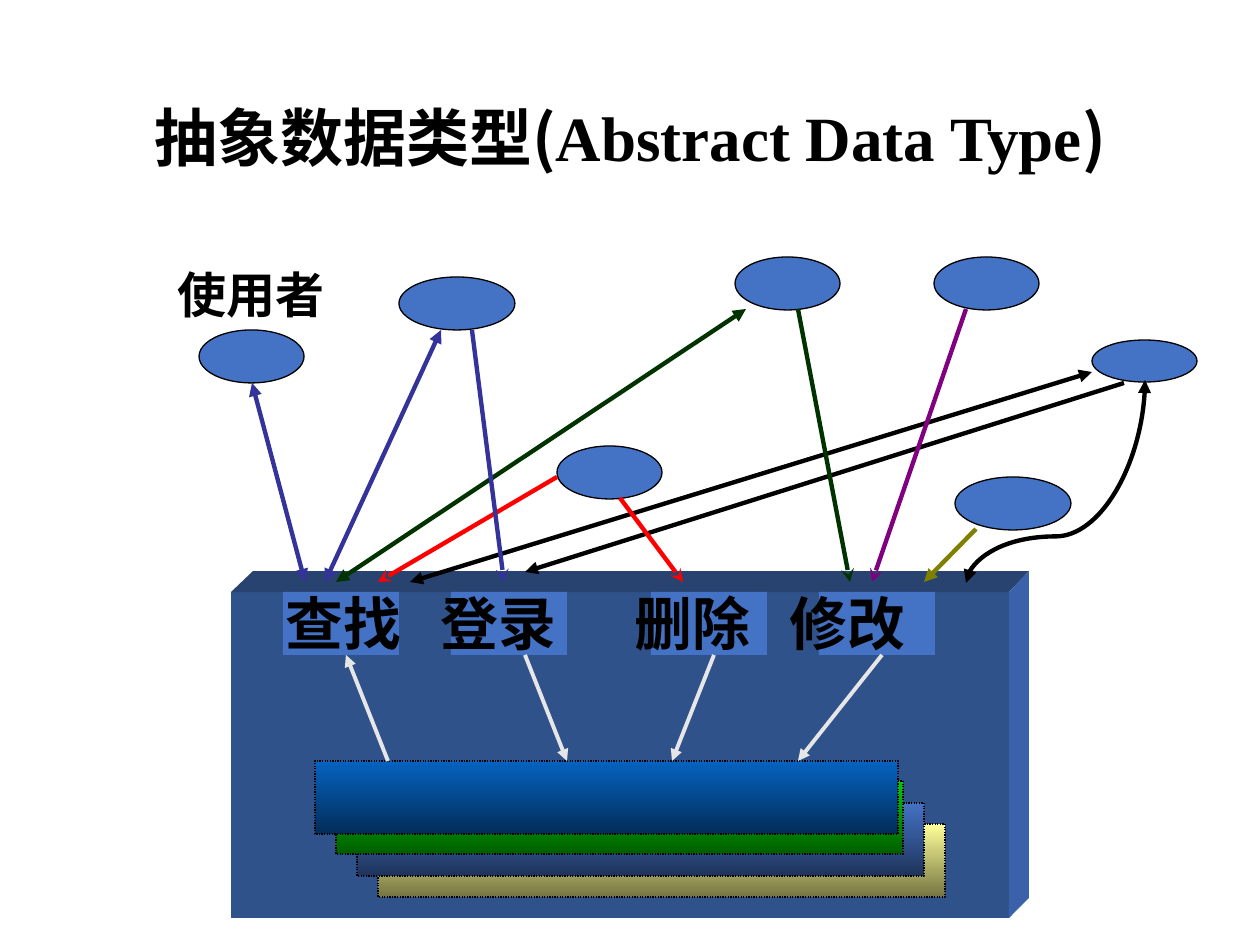
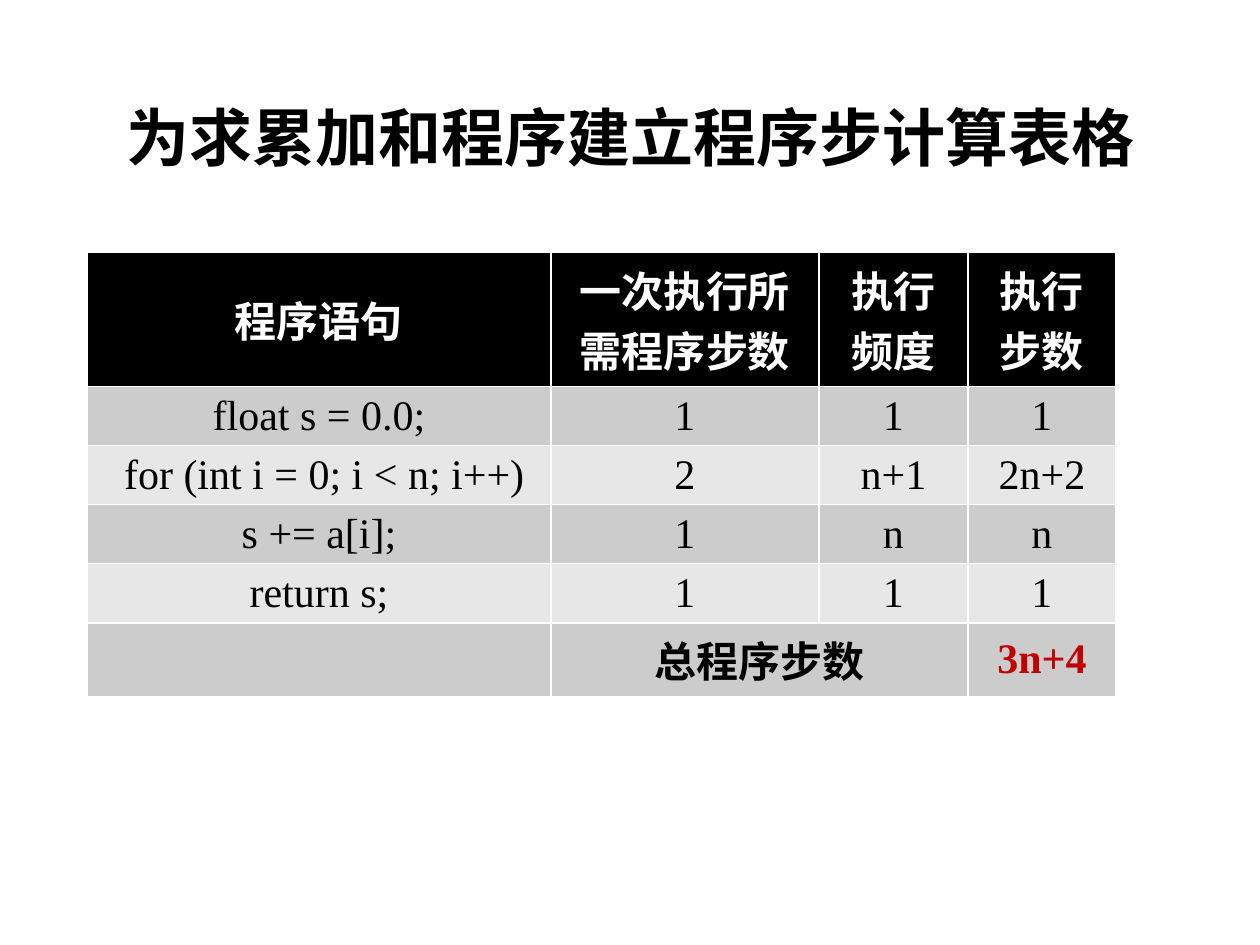
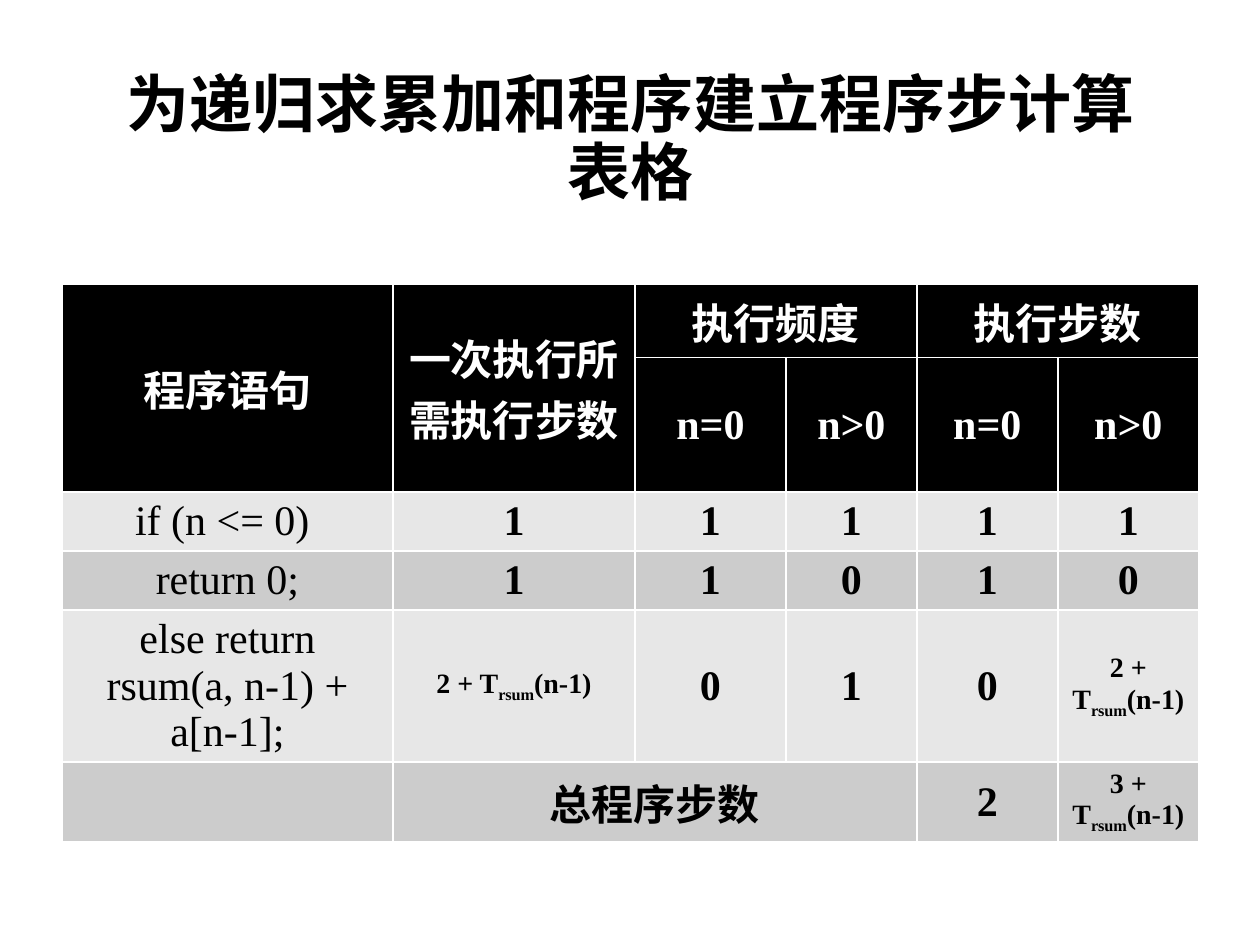
"""Build three slides on abstract data types and program step counts."""
from dataclasses import dataclass
from typing import NamedTuple

import lxml.etree
import pptx
import pptx.dml.color
import pptx.enum.dml
import pptx.enum.shapes
import pptx.enum.text
import pptx.oxml.ns
import pptx.util

RGBColor = pptx.dml.color.RGBColor
Shape = pptx.enum.shapes.MSO_SHAPE
Align = pptx.enum.text.PP_ALIGN
Anchor = pptx.enum.text.MSO_ANCHOR
qn = pptx.oxml.ns.qn

EMU_PER_PX = 914400 / 126

BLACK = RGBColor(0x00, 0x00, 0x00)
WHITE = RGBColor(0xFF, 0xFF, 0xFF)
BLUE = RGBColor(0x44, 0x72, 0xC4)
CUBE_FRONT = RGBColor(0x30, 0x52, 0x8A)
CUBE_TOP = RGBColor(0x29, 0x43, 0x70)
CUBE_SIDE = RGBColor(0x3A, 0x62, 0xAA)
INDIGO = RGBColor(0x33, 0x33, 0x99)
DARK_GREEN = RGBColor(0x00, 0x33, 0x00)
RED = RGBColor(0xFF, 0x00, 0x00)
PURPLE = RGBColor(0x80, 0x00, 0x80)
OLIVE = RGBColor(0x80, 0x80, 0x00)
PALE = RGBColor(0xE7, 0xE6, 0xE6)
DARK_BAND = RGBColor(0xCC, 0xCC, 0xCC)
LIGHT_BAND = RGBColor(0xE7, 0xE7, 0xE7)
TOTAL_RED = RGBColor(0xC0, 0x00, 0x00)

CJK_FONT = "Noto Sans CJK SC"
LATIN_FONT = "Times New Roman"


class Box(NamedTuple):
    left: int
    top: int
    width: int
    height: int


class Arrow(NamedTuple):
    start: tuple[int, int]
    end: tuple[int, int]
    color: RGBColor
    tail: str = "triangle"
    head: str = ""
    width: float = 2.5


class Bar(NamedTuple):
    box: Box
    top_color: RGBColor
    bottom_color: RGBColor


class Merge(NamedTuple):
    first: tuple[int, int]
    last: tuple[int, int]


@dataclass
class StepTable:
    left: int
    top: int
    columns: list[int]
    row_heights: list[int]
    rows: list[list[str]]
    merges: list[Merge]
    header_rows: int = 1
    header_font: str = CJK_FONT
    bold_values: bool = False
    total: str = ""


TITLE_BOX = Box(87, 50, 1086, 183)
USERS = [
    Box(199, 330, 105, 53), Box(399, 277, 116, 53), Box(557, 446, 105, 53),
    Box(735, 257, 105, 53), Box(955, 477, 116, 53), Box(934, 257, 105, 53),
    Box(1092, 340, 105, 42),
]
OPERATION_LEFTS = [283, 451, 651, 819]
OPERATIONS = ["查找", "登录", "删除", "修改"]
OPERATION_TABS = [155, 349, 504]
CALLS = [
    Arrow((252, 383), (305, 582), INDIGO, head="triangle"),
    Arrow((441, 330), (325, 582), INDIGO, head="triangle"),
    Arrow((746, 309), (336, 582), DARK_GREEN, head="triangle"),
    Arrow((557, 477), (378, 582), RED, "stealth"),
    Arrow((1092, 372), (410, 582), BLACK, head="triangle"),
    Arrow((472, 330), (504, 582), INDIGO, "stealth"),
    Arrow((1124, 383), (525, 572), BLACK),
    Arrow((620, 498), (683, 582), RED, "stealth"),
    Arrow((798, 309), (850, 582), DARK_GREEN, "stealth"),
    Arrow((966, 309), (872, 582), PURPLE, "stealth"),
    Arrow((976, 529), (924, 582), OLIVE),
]
CURVED_CALL = Arrow((954, 392), (1157, 571), BLACK, head="triangle")
DATA_BARS = [
    Bar(Box(378, 824, 567, 73), RGBColor(0xFF, 0xFF, 0x99), RGBColor(0x75, 0x75, 0x42)),
    Bar(Box(357, 803, 567, 73), BLUE, RGBColor(0x1F, 0x34, 0x5C)),
    Bar(Box(336, 781, 567, 73), RGBColor(0x00, 0xCC, 0x00), RGBColor(0x00, 0x5E, 0x00)),
    Bar(Box(315, 761, 583, 73), RGBColor(0x05, 0x63, 0xC1), RGBColor(0x02, 0x2D, 0x58)),
]
ACCESSES = [
    Arrow((388, 761), (346, 655), PALE, width=2.25),
    Arrow((525, 655), (567, 761), PALE, width=2.25),
    Arrow((714, 655), (672, 761), PALE, width=2.25),
    Arrow((882, 655), (798, 761), PALE, width=2.25),
]

LOOP_TABLE = StepTable(
    87, 252, [464, 268, 149, 148], [134, 59, 59, 59, 59, 73],
    [
        ["程序语句", "一次执行所需程序步数", "执行频度", "执行步数"],
        ["float s = 0.0;", "1", "1", "1"],
        [" for (int i = 0; i < n; i++)", "2", "n+1", "2n+2"],
        ["s += a[i];", "1", "n", "n"],
        ["return s;", "1", "1", "1"],
        ["", "总程序步数", "", "3n+4"],
    ],
    [Merge((5, 1), (5, 2))],
    header_font="Cabin",
    total="3n+4",
)
RECURSION_TABLE = StepTable(
    62, 284, [331, 242, 151, 131, 141, 141], [73, 134, 59, 59, 152, 79],
    [
        ["程序语句", "一次执行所需执行步数", "执行频度", "", "执行步数", ""],
        ["", "", "n=0", "n>0", "n=0", "n>0"],
        ["if (n <= 0) ", "1", "1", "1", "1", "1"],
        ["return 0;", "1", "1", "0", "1", "0"],
        ["else return rsum(a, n-1) + a[n-1];", "2 + T_rsum_(n-1)", "0", "1", "0",
         "2 + T_rsum_(n-1)"],
        ["", "总程序步数", "", "", "2", "3 + T_rsum_(n-1)"],
    ],
    [Merge((0, 0), (1, 0)), Merge((0, 1), (1, 1)), Merge((0, 2), (0, 3)),
     Merge((0, 4), (0, 5)), Merge((5, 1), (5, 3))],
    header_rows=2,
    bold_values=True,
)


def px(length: float) -> int:
    return round(length * EMU_PER_PX)


def emu(lengths) -> list[int]:
    return [px(length) for length in lengths]


def style(para, size: float, name: str, color: RGBColor = BLACK, bold: bool = True) -> None:
    para.font.size = pptx.util.Pt(size)
    para.font.name = name
    para.font.bold = bold
    para.font.color.rgb = color
    defaults = para._p.pPr.find(qn("a:defRPr"))
    lxml.etree.SubElement(defaults, qn("a:ea"), typeface=CJK_FONT)


def add_page(deck, *title_parts: str):
    page = deck.slides.add_slide(deck.slide_layouts[5])
    title = page.shapes.title
    title.left, title.top, title.width, title.height = emu(TITLE_BOX)
    title.text_frame.vertical_anchor = Anchor.MIDDLE
    title.text_frame.auto_size = pptx.enum.text.MSO_AUTO_SIZE.NONE
    para = title.text_frame.paragraphs[0]
    para.alignment = Align.CENTER
    para.line_spacing = 0.9
    style(para, 36, CJK_FONT)
    for position, part in enumerate(title_parts):
        span = para.add_run()
        span.text = part
        if position % 2:
            span.font.name = LATIN_FONT
    return page


def paint(shape, fill: RGBColor) -> None:
    shape.shadow.inherit = False
    shape.fill.solid()
    shape.fill.fore_color.rgb = fill
    shape.line.fill.background()


def outline(shape) -> None:
    shape.line.color.rgb = BLACK
    shape.line.width = pptx.util.Pt(0.75)


def add_block(page, preset, box: Box, fill: RGBColor):
    shape = page.shapes.add_shape(preset, *emu(box))
    paint(shape, fill)
    return shape


def add_face(page, corners: list[tuple[int, int]], fill: RGBColor) -> None:
    builder = page.shapes.build_freeform(*corners[0], scale=EMU_PER_PX)
    builder.add_line_segments(corners[1:], close=True)
    paint(builder.convert_to_shape(), fill)


def add_bar(page, bar: Bar) -> None:
    shape = add_block(page, Shape.RECTANGLE, bar.box, bar.top_color)
    shape.fill.gradient()
    shape.fill.gradient_angle = 270
    for stop, color in zip(shape.fill.gradient_stops, bar[1:]):
        stop.color.rgb = color
    outline(shape)
    shape.line.dash_style = pptx.enum.dml.MSO_LINE.ROUND_DOT


def add_arrow(page, arrow: Arrow, kind=pptx.enum.shapes.MSO_CONNECTOR.STRAIGHT):
    connector = page.shapes.add_connector(kind, *emu(arrow.start), *emu(arrow.end))
    connector.line.color.rgb = arrow.color
    connector.line.width = pptx.util.Pt(arrow.width)
    line = connector.line._get_or_add_ln()
    for tag, ending in (("a:headEnd", arrow.head), ("a:tailEnd", arrow.tail)):
        if ending:
            lxml.etree.SubElement(line, qn(tag), type=ending)
    lxml.etree.SubElement(connector._element.spPr, qn("a:effectLst"))
    return connector


def add_curved_arrow(page, arrow: Arrow) -> None:
    connector = add_arrow(page, arrow, pptx.enum.shapes.MSO_CONNECTOR.CURVE)
    properties = connector._element.spPr
    properties.find(qn("a:xfrm")).set("rot", "5400000")
    adjustments = properties.find(qn("a:prstGeom")).find(qn("a:avLst"))
    lxml.etree.SubElement(adjustments, qn("a:gd"), name="adj1", fmla="val 77100")


def add_label(page, box: Box, text: str, size: int, alignment=Align.LEFT, tabs=()) -> None:
    frame = page.shapes.add_textbox(*emu(box)).text_frame
    frame.word_wrap = True
    para = frame.paragraphs[0]
    para.text = text
    para.alignment = alignment
    if tabs:
        stops = lxml.etree.SubElement(para._p.get_or_add_pPr(), qn("a:tabLst"))
        for tab in tabs:
            lxml.etree.SubElement(stops, qn("a:tab"), pos=str(px(tab)), algn="l")
    style(para, size, CJK_FONT)


def fill_cell(cell, text: str, grid: StepTable, row: int, column: int) -> None:
    header = row < grid.header_rows
    band = DARK_BAND if row % 2 else LIGHT_BAND
    cell.fill.solid()
    cell.fill.fore_color.rgb = BLACK if header else band
    cell.vertical_anchor = Anchor.MIDDLE
    para = cell.text_frame.paragraphs[0]
    para.alignment = Align.CENTER
    for position, part in enumerate(text.split("_")):
        if part:
            span = para.add_run()
            span.text = part
            if position % 2:
                span._r.get_or_add_rPr().set("baseline", "-25000")
    name = LATIN_FONT if text.isascii() else grid.header_font if header else CJK_FONT
    color = WHITE if header else TOTAL_RED if text and text == grid.total else BLACK
    bold = header or row == len(grid.rows) - 1 or (grid.bold_values and column > 0)
    style(para, 16 if "_" in text else 24, name, color, bold)


def add_step_table(page, grid: StepTable) -> None:
    box = Box(grid.left, grid.top, sum(grid.columns), sum(grid.row_heights))
    frame = page.shapes.add_table(len(grid.rows), len(grid.columns), *emu(box))
    table = frame.table
    table.horz_banding = False
    for column, width in zip(table.columns, grid.columns):
        column.width = px(width)
    for row, height in zip(table.rows, grid.row_heights):
        row.height = px(height)
    for row, texts in enumerate(grid.rows):
        for column, text in enumerate(texts):
            fill_cell(table.cell(row, column), text, grid, row, column)
    for merge in grid.merges:
        table.cell(*merge.first).merge(table.cell(*merge.last))


def draw_abstract_type(page) -> None:
    for user in USERS:
        outline(add_block(page, Shape.OVAL, user, BLUE))
    add_block(page, Shape.RECTANGLE, Box(231, 592, 778, 326), CUBE_FRONT)
    add_face(page, [(231, 592), (253, 571), (1029, 571), (1009, 592)], CUBE_TOP)
    add_face(page, [(1009, 592), (1029, 571), (1029, 898), (1009, 918)], CUBE_SIDE)
    for left in OPERATION_LEFTS:
        add_block(page, Shape.RECTANGLE, Box(left, 592, 116, 63), BLUE)
    add_label(page, Box(273, 582, 718, 83), "\t".join(OPERATIONS), 33, tabs=OPERATION_TABS)
    add_curved_arrow(page, CURVED_CALL)
    for call in CALLS:
        add_arrow(page, call)
    for bar in DATA_BARS:
        add_bar(page, bar)
    for access in ACCESSES:
        add_arrow(page, access)
    add_label(page, Box(137, 258, 228, 72), "使用者", 28, Align.CENTER)


def main() -> None:
    deck = pptx.Presentation()
    deck.slide_width, deck.slide_height = emu((1260, 945))
    draw_abstract_type(add_page(deck, "抽象数据类型(", "Abstract Data Type", ")"))
    add_step_table(add_page(deck, "为求累加和程序建立程序步计算表格"), LOOP_TABLE)
    add_step_table(add_page(deck, "为递归求累加和程序建立程序步计算表格"), RECURSION_TABLE)
    deck.save("out.pptx")


if __name__ == "__main__":
    main()
